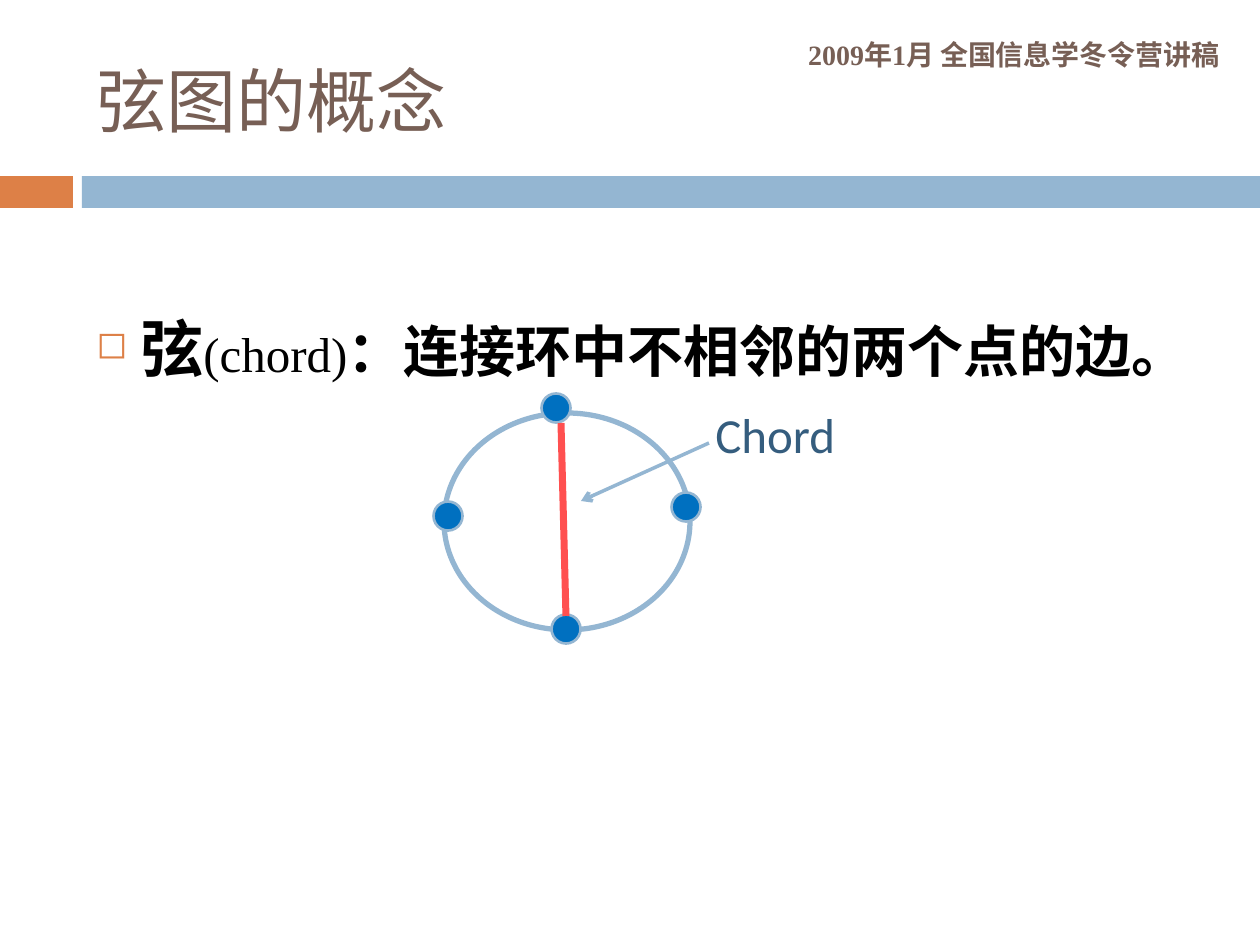
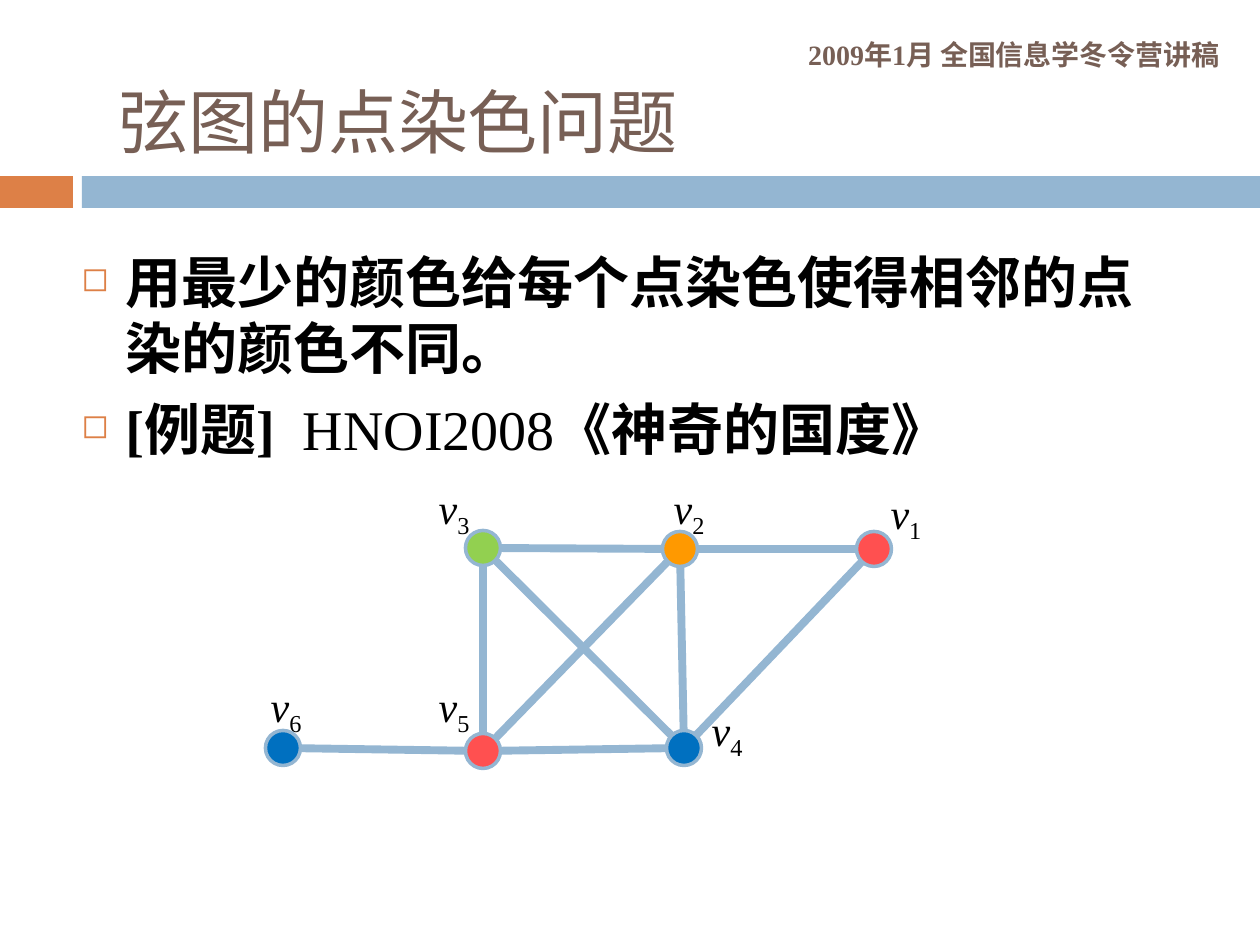
from lxml.etree import SubElement
from pptx import Presentation
from pptx.dml.color import RGBColor
from pptx.enum.shapes import MSO_CONNECTOR, MSO_SHAPE
from pptx.enum.text import MSO_ANCHOR as Anchor, PP_ALIGN as Align
from pptx.oxml.ns import qn
from pptx.util import Emu, Pt

EMU_PER_INCH, PX_PER_INCH = 914400, 126
SLIDE_SIZE = (1260, 945)

BROWN = RGBColor(0x77, 0x5F, 0x55)
ORANGE = RGBColor(0xDD, 0x80, 0x47)
SKY = RGBColor(0x94, 0xB6, 0xD2)
NAVY = RGBColor(0x35, 0x5D, 0x7E)
BLUE = RGBColor(0x00, 0x70, 0xC0)
RED = RGBColor(0xFF, 0x50, 0x50)
AMBER = RGBColor(0xFF, 0x99, 0x00)
GREEN = RGBColor(0x92, 0xD0, 0x50)
WHITE = RGBColor(0xFF, 0xFF, 0xFF)
BLACK = RGBColor(0, 0, 0)

SERIF, HAN = "Times New Roman", "Noto Sans CJK SC"
HEADER_STYLE = dict(name=SERIF, size=Pt(16), bold=True, color=BROWN)
TITLE_STYLE = dict(name=HAN, size=Pt(40), color=BROWN)
BODY_STYLE = dict(name=SERIF, size=Pt(32), bold=True, color=BLACK)
CALLOUT_STYLE = dict(name="Calibri", size=Pt(28), color=NAVY)
VERTEX_STYLE = dict(name=SERIF, size=Pt(24), italic=True, color=BLACK)

HEADER = "2009年1月 全国信息学冬令营讲稿"
HEADER_BOX = (423, 29, 809, 50)
BANDS = [((0, 176, 73, 32), ORANGE), ((82, 176, 1178, 32), SKY)]

CONCEPT = dict(
    title="弦图的概念",
    title_box=(84, 32, 1124, 136),
    body_box=(84, 258, 1116, 135),
    line_height=Pt(69),
    paragraphs=[[
        ("弦", dict(size=Pt(36))),
        ("(chord)", dict(size=Pt(28), bold=False)),
        ("：连接环中不相邻的两个点的边。", {}),
    ]],
)
CYCLE_BOX = (444, 413, 246, 217)
CYCLE_DOTS = [(556, 408), (448, 516), (566, 629), (686, 507)]
CYCLE_DOT_SIZE = 29
CHORD = ((561, 423), (566, 616))
CALLOUT_ARROW = ((709, 443), (581, 501))
CALLOUT_BOX = (703, 398, 158, 72)

COLORING = dict(
    title="弦图的点染色问题",
    title_box=(106, 53, 1124, 136),
    body_box=(69, 242, 1124, 250),
    line_height=Pt(38),
    paragraphs=[
        [("用最少的颜色给每个点染色使得相邻的点染的颜色不同。", dict(name=HAN))],
        [
            ("[", {}),
            ("例题", dict(name=HAN)),
            ("]", {}),
            (" ", dict(spacing=800)),
            ("HNOI2008", dict(bold=False)),
            ("《", {}),
            ("神奇的国度", dict(name=HAN)),
            ("》", {}),
        ],
    ],
)
VERTICES = {
    1: ((874, 549), RED, (853, 481)),
    2: ((680, 549), AMBER, (636, 476)),
    3: ((483, 548), GREEN, (401, 476)),
    4: ((684, 748), BLUE, (674, 698)),
    5: ((483, 751), RED, (401, 674)),
    6: ((283, 748), BLUE, (233, 674)),
}
EDGES = [(6, 5), (5, 4), (3, 5), (3, 2), (2, 4), (2, 5), (3, 4), (2, 1), (1, 4)]
VERTEX_SIZE = 35
LABEL_SIZE = (106, 63)
BULLET_INDENT = 44


def px(length):
    return Emu(round(length * EMU_PER_INCH / PX_PER_INCH))


def place(box):
    return [px(length) for length in box]


def add_run(paragraph, text, style):
    run = paragraph.add_run()
    run.text = text
    properties = run.font._element
    for key, value in style.items():
        if key == "color":
            run.font.color.rgb = value
        elif key == "baseline":
            properties.set("baseline", str(value))
        elif key == "spacing":
            properties.set("spc", str(value))
        else:
            setattr(run.font, key, value)
    SubElement(properties, qn("a:ea"), typeface=HAN)


def add_text(slide, box, paragraphs, style, align=Align.LEFT, anchor=Anchor.TOP):
    frame = slide.shapes.add_textbox(*place(box)).text_frame
    frame.word_wrap = True
    frame.vertical_anchor = anchor
    for index, runs in enumerate(paragraphs):
        paragraph = frame.add_paragraph() if index else frame.paragraphs[0]
        paragraph.alignment = align
        for text, changes in runs:
            add_run(paragraph, text, {**style, **changes})
    return frame


def add_bullet(paragraph):
    properties = paragraph._p.get_or_add_pPr()
    indent = px(BULLET_INDENT)
    properties.set("marL", str(indent))
    properties.set("indent", str(-indent))
    bullet_color = SubElement(properties, qn("a:buClr"))
    SubElement(bullet_color, qn("a:srgbClr"), val=str(ORANGE))
    SubElement(properties, qn("a:buSzPct"), val="60000")
    SubElement(properties, qn("a:buChar"), char="◻")


def add_area(slide, preset, box, fill, outline=None, weight=0):
    area = slide.shapes.add_shape(preset, *place(box))
    area.shadow.inherit = False
    area.fill.solid()
    area.fill.fore_color.rgb = fill
    if outline is None:
        area.line.fill.background()
    else:
        area.line.color.rgb = outline
        area.line.width = Pt(weight)


def add_dot(slide, center, size, fill, weight):
    x, y = center
    box = (x - size / 2, y - size / 2, size, size)
    add_area(slide, MSO_SHAPE.OVAL, box, fill, SKY, weight)


def add_line(slide, start, end, color, weight, arrow=False):
    line = slide.shapes.add_connector(MSO_CONNECTOR.STRAIGHT, *place(start + end))
    line.line.color.rgb = color
    line.line.width = Pt(weight)
    if arrow:
        SubElement(line.line._get_or_add_ln(), qn("a:tailEnd"), type="arrow")
    SubElement(line._element.spPr, qn("a:effectLst"))


def add_page(deck, content):
    slide = deck.slides.add_slide(deck.slide_layouts[6])
    for box, color in BANDS:
        add_area(slide, MSO_SHAPE.RECTANGLE, box, color)
    add_text(slide, HEADER_BOX, [[(HEADER, {})]], HEADER_STYLE, Align.RIGHT, Anchor.MIDDLE)
    add_text(slide, content["title_box"], [[(content["title"], {})]], TITLE_STYLE,
             anchor=Anchor.MIDDLE)
    body = add_text(slide, content["body_box"], content["paragraphs"], BODY_STYLE)
    for index, paragraph in enumerate(body.paragraphs):
        add_bullet(paragraph)
        paragraph.line_spacing = content["line_height"]
        if index:
            paragraph.space_before = Pt(8)
    return slide


def draw_cycle(slide):
    add_area(slide, MSO_SHAPE.OVAL, CYCLE_BOX, WHITE, SKY, 3)
    for center in CYCLE_DOTS:
        add_dot(slide, center, CYCLE_DOT_SIZE, BLUE, 1.5)
    add_line(slide, *CHORD, RED, 4)
    add_line(slide, *CALLOUT_ARROW, SKY, 2, arrow=True)
    add_text(slide, CALLOUT_BOX, [[("Chord", {})]], CALLOUT_STYLE)


def draw_graph(slide):
    for start, end in EDGES:
        add_line(slide, VERTICES[start][0], VERTICES[end][0], SKY, 4.5)
    for number, (center, color, corner) in VERTICES.items():
        subscript = (str(number), dict(italic=False, baseline=-25000))
        add_text(slide, corner + LABEL_SIZE, [[("v", {}), subscript]], VERTEX_STYLE,
                 Align.CENTER)
        add_dot(slide, center, VERTEX_SIZE, color, 2)


def main():
    deck = Presentation()
    deck.slide_width, deck.slide_height = place(SLIDE_SIZE)
    draw_cycle(add_page(deck, CONCEPT))
    draw_graph(add_page(deck, COLORING))
    deck.save("out.pptx")


if __name__ == "__main__":
    main()
